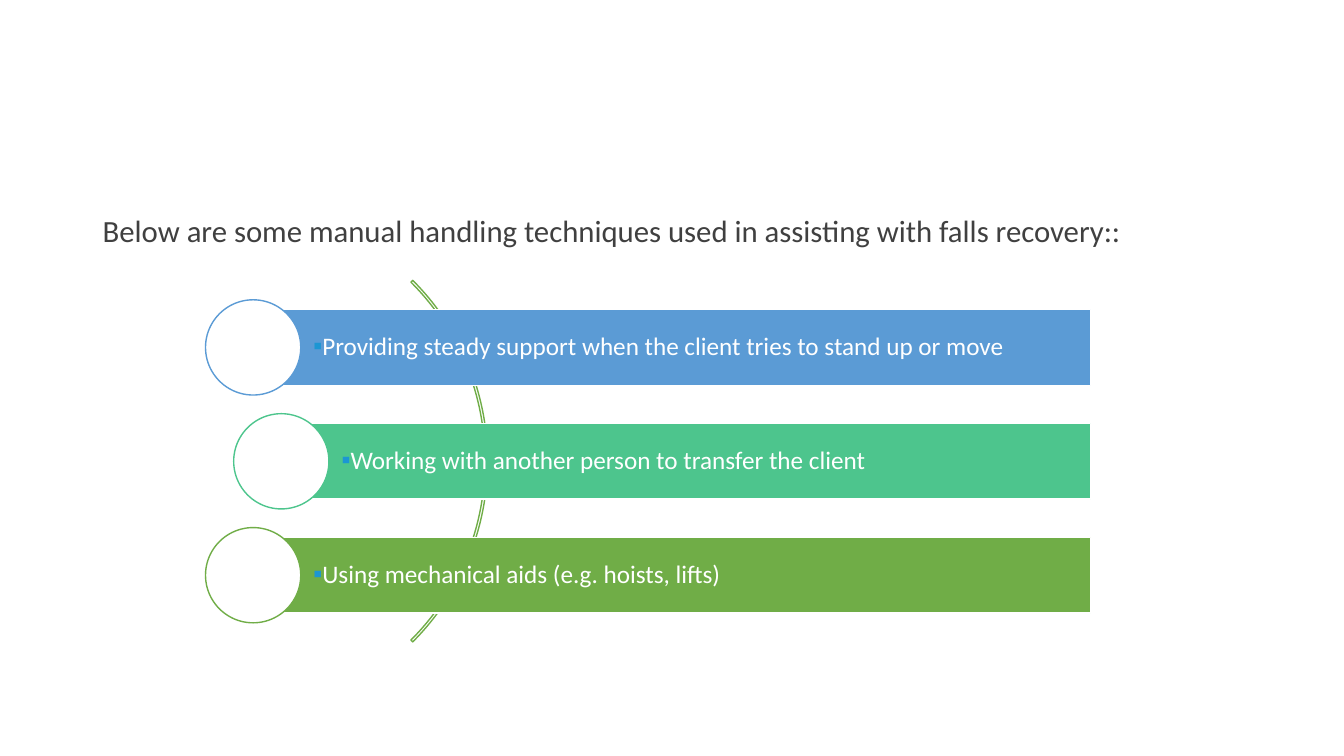
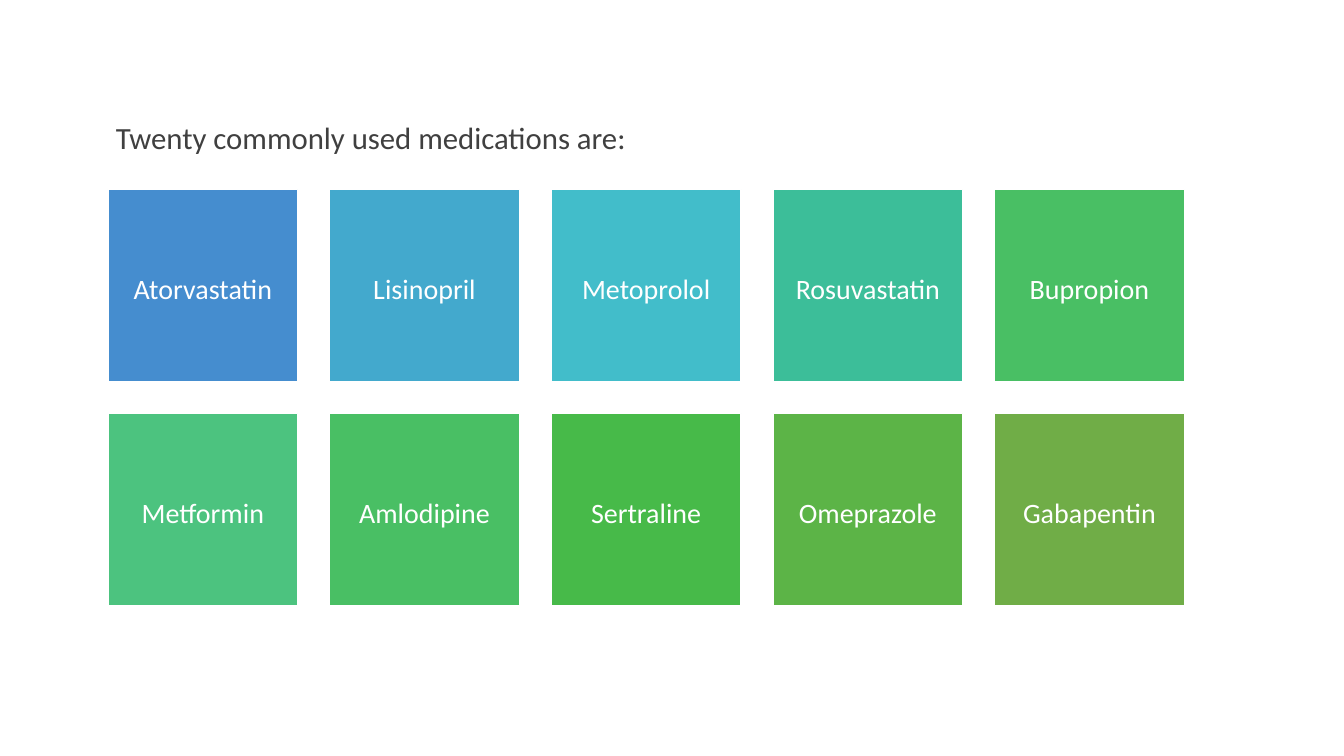
from dataclasses import dataclass
from typing import NamedTuple

from lxml import etree
from pptx import Presentation
from pptx.dml.color import RGBColor
from pptx.enum.shapes import MSO_SHAPE
from pptx.enum.text import MSO_ANCHOR, PP_ALIGN
from pptx.oxml.ns import qn
from pptx.util import Cm, Pt

RECTANGLE = MSO_SHAPE.RECTANGLE
OVAL = MSO_SHAPE.OVAL
BLOCK_ARC = MSO_SHAPE.BLOCK_ARC
TOP, MIDDLE = MSO_ANCHOR.TOP, MSO_ANCHOR.MIDDLE
LEFT, CENTER = PP_ALIGN.LEFT, PP_ALIGN.CENTER
BLANK_LAYOUT = 6


@dataclass(frozen=True)
class Theme:
    font: str = "Calibri"
    ink: str = "404040"
    white: str = "FFFFFF"
    bullet: str = "1C96D3"
    arc: str = "70AD47"
    bars: tuple = ("5B9BD5", "4DC58D", "70AD47")
    tiles: tuple = ("458DCF", "43A9CD", "42BDCA", "3CBE99", "49BF64",
                    "4CC37F", "49BF64", "47BA49", "5CB447", "70AD47")
    intro_size: int = 22
    bar_size: int = 18
    tile_size: int = 20
    outline: int = 1
    body_spacing: float = 1.14
    bar_spacing: float = 0.9
    space_after: int = 6


class Box(NamedTuple):
    """A rectangle measured in centimetres."""
    left: float
    top: float
    width: float
    height: float

    def lengths(self):
        return [Cm(value) for value in self]


THEME = Theme()

TECHNIQUES = (
    "Providing steady support when the client tries to stand up or move",
    "Working with another person to transfer the client",
    "Using mechanical aids (e.g. hoists, lifts)",
)
MEDICATIONS = (
    "Atorvastatin", "Lisinopril", "Metoprolol", "Rosuvastatin", "Bupropion",
    "Metformin", "Amlodipine", "Sertraline", "Omeprazole", "Gabapentin",
)


def add_outlined(page, kind, box, fill, line):
    """Add a preset shape; a fill of None leaves it hollow."""
    shape = page.shapes.add_shape(kind, *box.lengths())
    shape.shadow.inherit = False
    if fill:
        shape.fill.solid()
        shape.fill.fore_color.rgb = RGBColor.from_string(fill)
    else:
        shape.fill.background()
    shape.line.color.rgb = RGBColor.from_string(line)
    shape.line.width = Pt(THEME.outline)
    return shape


def add_bullet(para):
    properties = para._p.get_or_add_pPr()
    properties.set("marL", "0")
    properties.set("indent", "0")
    colour = etree.SubElement(properties, qn("a:buClr"))
    etree.SubElement(colour, qn("a:srgbClr")).set("val", THEME.bullet)
    etree.SubElement(properties, qn("a:buFont")).set("typeface", THEME.font)
    etree.SubElement(properties, qn("a:buChar")).set("char", "▪")


def write(shape, text, size, colour, insets, align=LEFT, anchor=MIDDLE,
          spacing=THEME.body_spacing, bullet=False):
    """Set one paragraph; insets are left, top, right, bottom in cm."""
    frame = shape.text_frame
    frame.word_wrap = True
    frame.vertical_anchor = anchor
    (frame.margin_left, frame.margin_top,
     frame.margin_right, frame.margin_bottom) = [Cm(inset) for inset in insets]
    frame.text = text
    para = frame.paragraphs[0]
    para.alignment = align
    para.line_spacing = spacing
    para.space_after = Pt(THEME.space_after)
    if bullet:
        add_bullet(para)
    font = para.runs[0].font
    font.name = THEME.font
    font.size = Pt(size)
    font.color.rgb = RGBColor.from_string(colour)


def add_intro(page, box, text):
    write(page.shapes.add_textbox(*box.lengths()), text, THEME.intro_size,
          THEME.ink, (0.25, 0.13, 0.25, 0.13), anchor=TOP)


def add_curved_list(page, box, items):
    """Stack bars along an arc that bulges to the right inside the box."""
    arc_size, arc_reach = 12.88, 7.11
    bar_height, pitch, first_bar = 1.91, 2.87, 2.62
    circle_size, bulge = 2.4, 0.71

    arc_box = Box(box.left + arc_reach - arc_size, box.top, arc_size, arc_size)
    arc = add_outlined(page, BLOCK_ARC, arc_box, None, THEME.arc)
    for index, value in enumerate((189, 27, 0.005)):
        arc.adjustments[index] = value

    middle = len(items) // 2
    for index, (text, colour) in enumerate(zip(items, THEME.bars)):
        indent = circle_size / 2 + (bulge if index == middle else 0)
        bar_box = Box(box.left + indent, box.top + first_bar + index * pitch,
                      box.width - indent, bar_height)
        bar = add_outlined(page, RECTANGLE, bar_box, colour, THEME.white)
        write(bar, text, THEME.bar_size, THEME.white, (1.52, 0.13, 0.13, 0.13),
              spacing=THEME.bar_spacing, bullet=True)
        circle_box = Box(bar_box.left - circle_size / 2,
                         bar_box.top + (bar_height - circle_size) / 2,
                         circle_size, circle_size)
        add_outlined(page, OVAL, circle_box, THEME.white, colour)


def add_tile_grid(page, box, names, columns=5, gap=0.8):
    rows = len(names) // columns
    width = (box.width - gap * (columns - 1)) / columns
    height = (box.height - gap * (rows - 1)) / rows
    for index, (name, colour) in enumerate(zip(names, THEME.tiles)):
        row, column = divmod(index, columns)
        tile_box = Box(box.left + column * (width + gap),
                       box.top + row * (height + gap), width, height)
        tile = add_outlined(page, RECTANGLE, tile_box, colour, THEME.white)
        write(tile, name, THEME.tile_size, THEME.white, (0.2,) * 4, CENTER)


def add_page(deck):
    return deck.slides.add_slide(deck.slide_layouts[BLANK_LAYOUT])


def build_techniques(deck):
    page = add_page(deck)
    add_intro(page, Box(2.34, 5.08, 28.02, 12.09),
              "Below are some manual handling techniques used in assisting "
              "with falls recovery::")
    add_curved_list(page, Box(5.18, 5.18, 22.31, 12.88), TECHNIQUES)


def build_medications(deck):
    page = add_page(deck)
    add_intro(page, Box(2.67, 2.72, 28.02, 12.09),
              "Twenty commonly used medications are:")
    add_tile_grid(page, Box(2.72, 4.78, 27.13, 10.49), MEDICATIONS)


def main():
    deck = Presentation()
    deck.slide_width, deck.slide_height = Cm(33.87), Cm(19.05)
    build_techniques(deck)
    build_medications(deck)
    deck.save("out.pptx")


if __name__ == "__main__":
    main()
